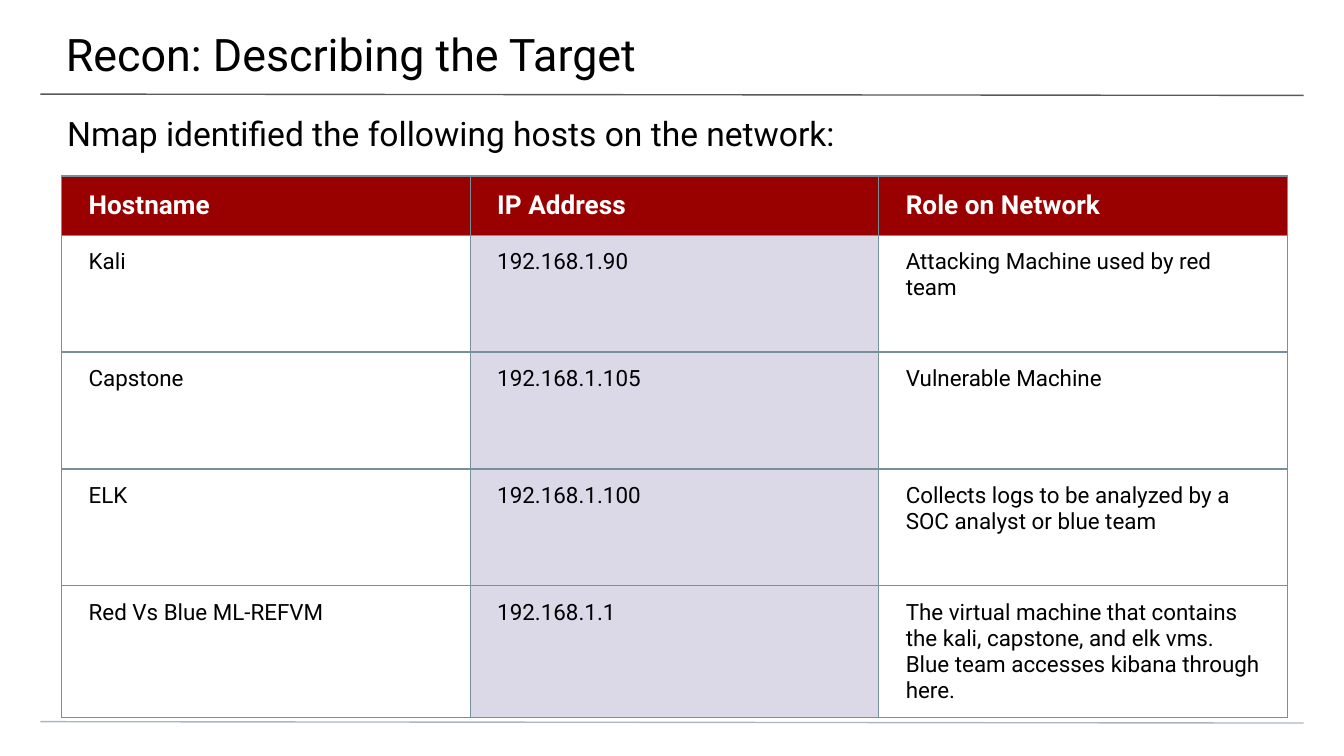
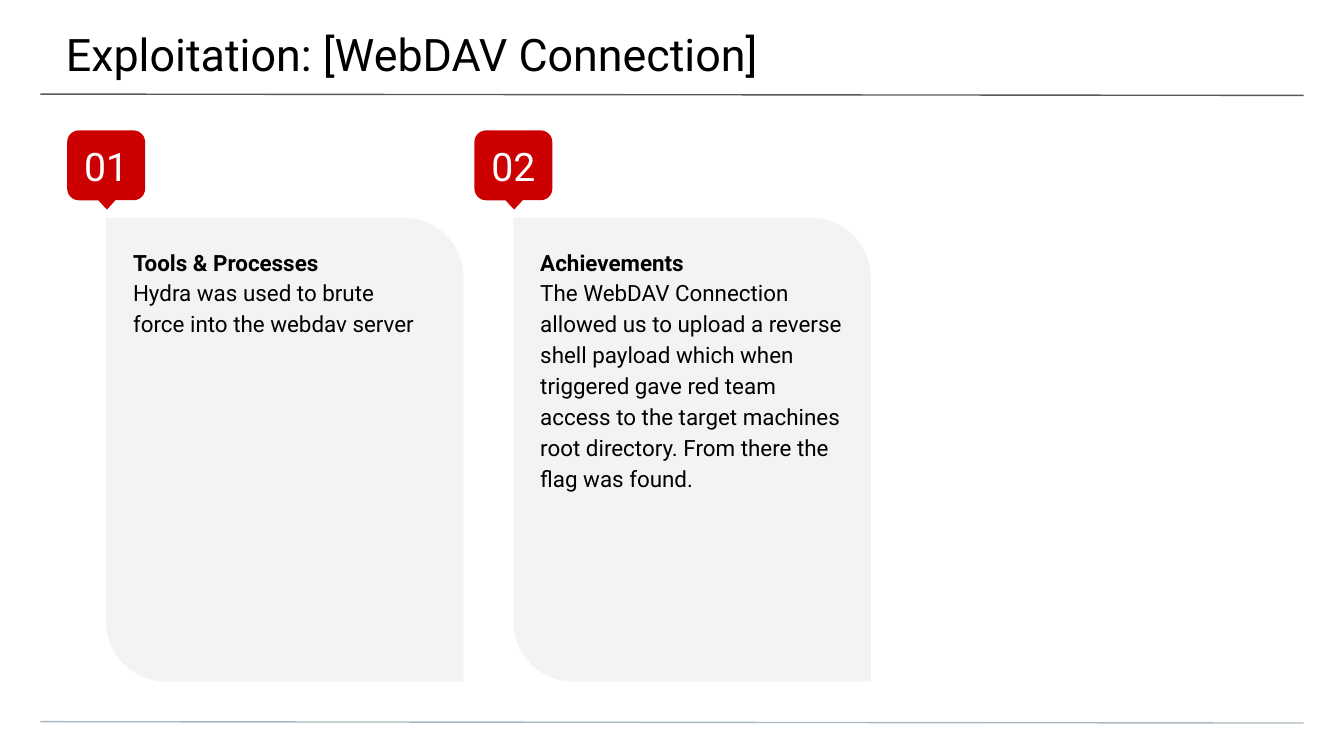
from lxml import etree
from pptx import Presentation
from pptx import util as u
from pptx.dml.color import RGBColor
from pptx.enum import shapes, text
from pptx.oxml import ns

FONT = "Roboto"
BLACK = RGBColor(0x00, 0x00, 0x00)
WHITE = RGBColor(0xFF, 0xFF, 0xFF)
RULE_DARK = RGBColor(0x59, 0x59, 0x59)
RULE_PALE = RGBColor(0xA9, 0xB7, 0xC0)
GRID = RGBColor(0x78, 0x90, 0x9C)
HEADER_RED = RGBColor(0x99, 0x00, 0x00)
BADGE_RED = RGBColor(0xCC, 0x00, 0x00)
LILAC = RGBColor(0xDB, 0xD9, 0xE8)
PANEL_GRAY = RGBColor(0xF3, 0xF3, 0xF3)

TITLE_AND_SUBTITLE, TITLE_ONLY = 0, 5  # template layouts

HOSTS = [
    ("Hostname", "IP Address", "Role on Network"),
    ("Kali", "192.168.1.90", "Attacking Machine used by red team"),
    ("Capstone", "192.168.1.105", "Vulnerable Machine"),
    ("ELK", "192.168.1.100",
     "Collects logs to be analyzed by a SOC analyst or blue team"),
    ("Red Vs Blue ML-REFVM", "192.168.1.1",
     "The virtual machine that contains the kali, capstone, and elk vms. "
     "Blue team accesses kibana through here."),
]

# Heading, body, text width
CARDS = [
    ("Tools & Processes",
     "Hydra was used to brute force into the webdav server", 2.59),
    ("Achievements",
     "The WebDAV Connection allowed us to upload a reverse shell payload "
     "which when triggered gave red team access to the target machines root "
     "directory. From there the flag was found.", 2.66),
]


# Text helpers
def inches(*values):
    return [u.Inches(value) for value in values]


def set_frame(frame, insets, anchor=text.MSO_ANCHOR.TOP):
    frame.word_wrap = True
    frame.auto_size = text.MSO_AUTO_SIZE.NONE
    frame.vertical_anchor = anchor
    (frame.margin_left, frame.margin_top,
     frame.margin_right, frame.margin_bottom) = inches(*insets)


def add_span(para, words, size, color=BLACK, bold=False,
             align=text.PP_ALIGN.LEFT):
    para.alignment = align
    span = para.add_run()
    span.text = words
    span.font.name = FONT
    span.font.size = u.Pt(size)
    span.font.bold = bold
    span.font.color.rgb = color


def fill_placeholder(box, place, insets, words, size):
    box.left, box.top, box.width, box.height = inches(*place)
    set_frame(box.text_frame, insets)
    para = box.text_frame.paragraphs[0]
    para.space_before = u.Pt(0)
    add_span(para, words, size)


# Shared slide frame
def add_rule(page, top, color):
    rule = page.shapes.add_connector(
        shapes.MSO_CONNECTOR.STRAIGHT, *inches(0.3, top, 9.7, top + 0.01))
    rule.line.color.rgb = color
    rule.line.width = u.Pt(0.75)
    etree.SubElement(rule._element.spPr, ns.qn("a:effectLst"))


def add_page(deck, layout, title):
    page = deck.slides.add_slide(deck.slide_layouts[layout])
    page.background.fill.solid()
    page.background.fill.fore_color.rgb = WHITE
    add_rule(page, 0.7, RULE_DARK)
    add_rule(page, 5.37, RULE_PALE)
    fill_placeholder(page.shapes.title, (-0.01, 0, 10.03, 0.58),
                     (0.5, 0.2, 0.3, 0.1), title, 24)
    return page


# Host table
def add_borders(cell):
    props = cell._tc.get_or_add_tcPr()
    for side in ("lnL", "lnR", "lnT", "lnB"):
        line = etree.SubElement(props, ns.qn(f"a:{side}"), w=str(u.Pt(0.75)))
        fill = etree.SubElement(line, ns.qn("a:solidFill"))
        etree.SubElement(fill, ns.qn("a:srgbClr"), val=str(GRID))


def style_cell(cell, words, is_header, fill):
    cell.margin_left = cell.margin_right = u.Inches(0.2)
    cell.margin_top = cell.margin_bottom = u.Inches(0.1)
    cell.vertical_anchor = (text.MSO_ANCHOR.MIDDLE if is_header
                            else text.MSO_ANCHOR.TOP)
    add_borders(cell)
    if fill is None:
        cell.fill.background()
    else:
        cell.fill.solid()
        cell.fill.fore_color.rgb = fill
    para = cell.text_frame.paragraphs[0]
    if is_header:
        add_span(para, words, 14, WHITE, bold=True)
    else:
        add_span(para, words, 12)


def add_host_table(page):
    header_height, row_height, column_width = 0.44, 0.87, 3.04
    columns = len(HOSTS[0])
    height = header_height + row_height * (len(HOSTS) - 1)
    table = page.shapes.add_table(
        len(HOSTS), columns,
        *inches(0.46, 1.31, column_width * columns, height)).table
    table.first_row = table.horz_banding = False
    for column in table.columns:
        column.width = u.Inches(column_width)
    for r, host in enumerate(HOSTS):
        is_header = r == 0
        table.rows[r].height = u.Inches(
            header_height if is_header else row_height)
        body_fills = (None, LILAC, None)
        for c, words in enumerate(host):
            fill = HEADER_RED if is_header else body_fills[c]
            style_cell(table.cell(r, c), words, is_header, fill)


# Numbered cards
def add_plain_shape(parent, kind, place, color):
    shape = parent.shapes.add_shape(kind, *inches(*place))
    shape.shadow.inherit = False
    shape.fill.solid()
    shape.fill.fore_color.rgb = color
    shape.line.fill.background()
    return shape


def add_badge(page, left, number):
    group = page.shapes.add_group_shape()
    badge = add_plain_shape(group, shapes.MSO_SHAPE.ROUNDED_RECTANGLE,
                            (left, 0.97, 0.58, 0.52), BADGE_RED)
    set_frame(badge.text_frame, (0.1,) * 4, text.MSO_ANCHOR.MIDDLE)
    add_span(badge.text_frame.paragraphs[0], f"{number:02d}", 21, WHITE,
             align=text.PP_ALIGN.CENTER)
    pointer = add_plain_shape(group, shapes.MSO_SHAPE.FLOWCHART_EXTRACT,
                              (left + 0.15, 1.4, 0.29, 0.16), BADGE_RED)
    pointer.rotation = 180


def add_card(page, left, heading, body, text_width):
    top, width, height = 1.62, 2.66, 3.45
    panel = add_plain_shape(
        page, shapes.MSO_SHAPE.ROUND_2_DIAG_RECTANGLE,
        (left, top, width, height), PANEL_GRAY)
    panel.adjustments[0] = 0
    panel.adjustments[1] = 0.167  # top right and bottom left corners
    box = page.shapes.add_textbox(*inches(left, top, text_width, height))
    frame = box.text_frame
    set_frame(frame, (0.2,) * 4)
    for para, words, bold in ((frame.paragraphs[0], heading, True),
                              (frame.add_paragraph(), body, False)):
        para.line_spacing = 1.15
        add_span(para, words, 12, bold=bold)


def main():
    deck = Presentation()
    deck.slide_width = u.Inches(10)
    deck.slide_height = u.Inches(10 * 9 / 16)  # widescreen

    # Hosts found
    page = add_page(deck, TITLE_AND_SUBTITLE, "Recon: Describing the Target")
    fill_placeholder(page.placeholders[1], (0, 0.74, 10, 0.4),
                     (0.5, 0.1, 0.5, 0),
                     "Nmap identified the following hosts on the network:", 18)
    add_host_table(page)

    # Exploit steps
    page = add_page(deck, TITLE_ONLY, "Exploitation: [WebDAV Connection]")
    for index, (heading, body, text_width) in enumerate(CARDS):
        left = 0.5 + 3.03 * index
        add_card(page, left + 0.29, heading, body, text_width)
        add_badge(page, left, index + 1)

    deck.save("out.pptx")


if __name__ == "__main__":
    main()
